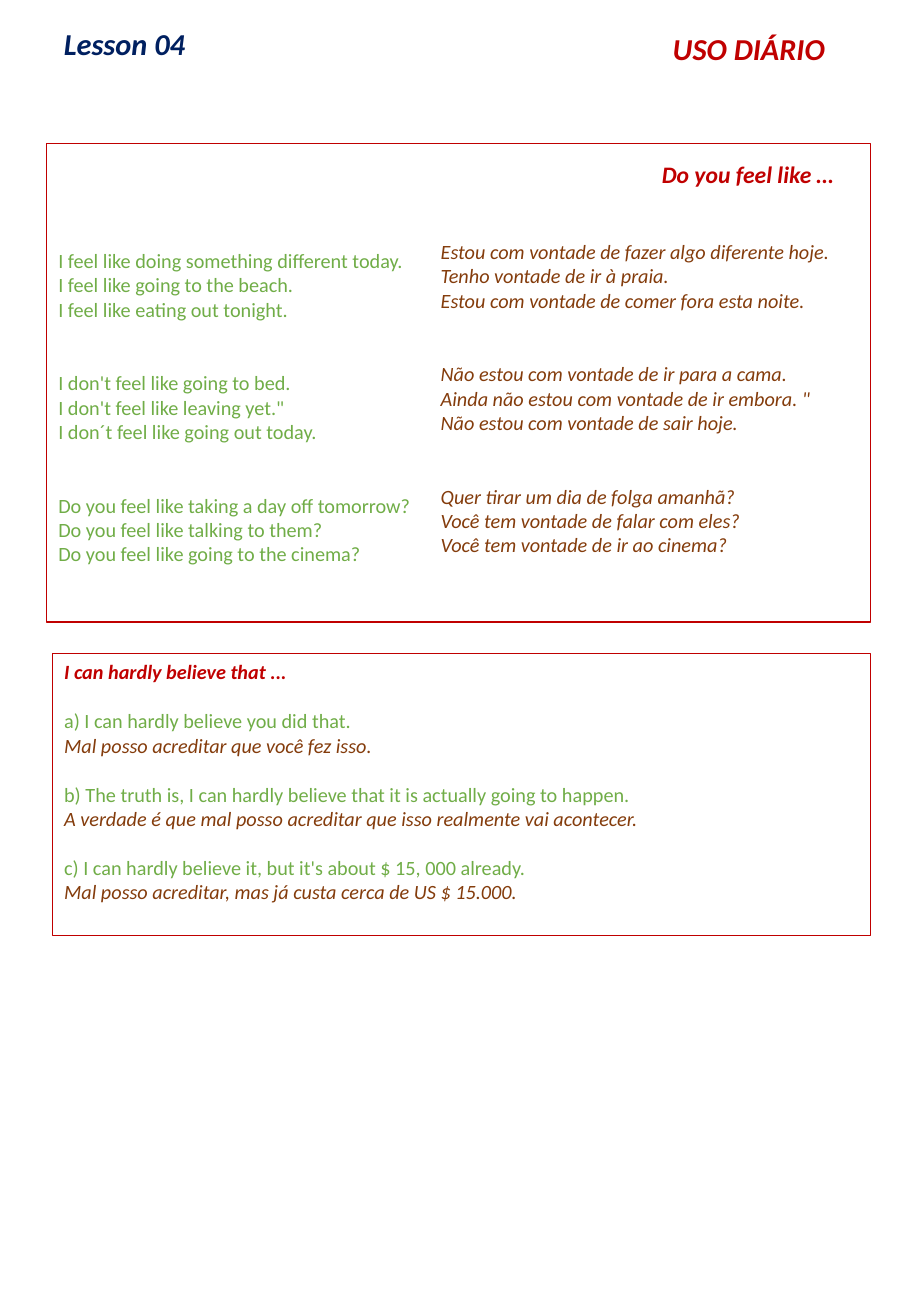
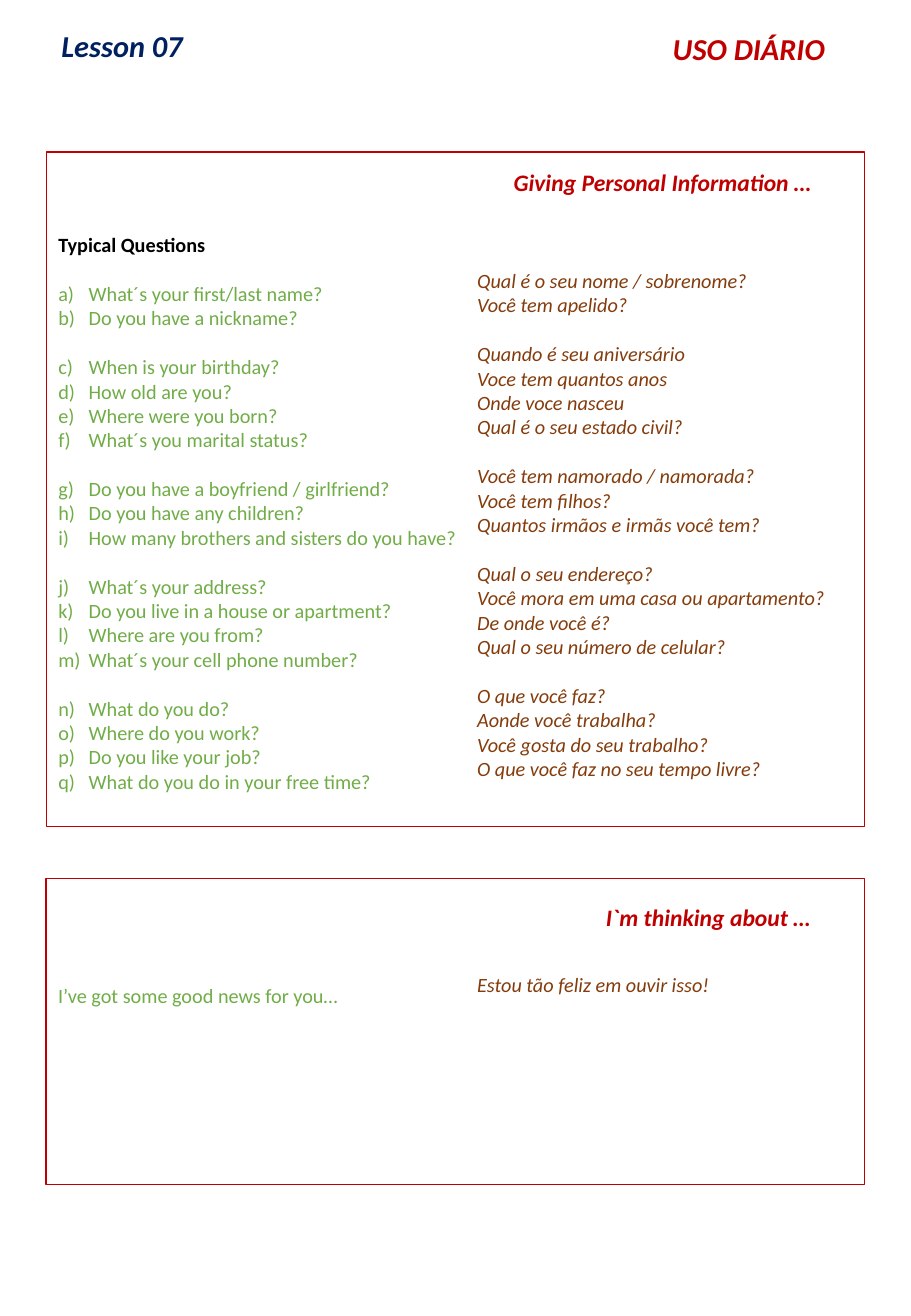
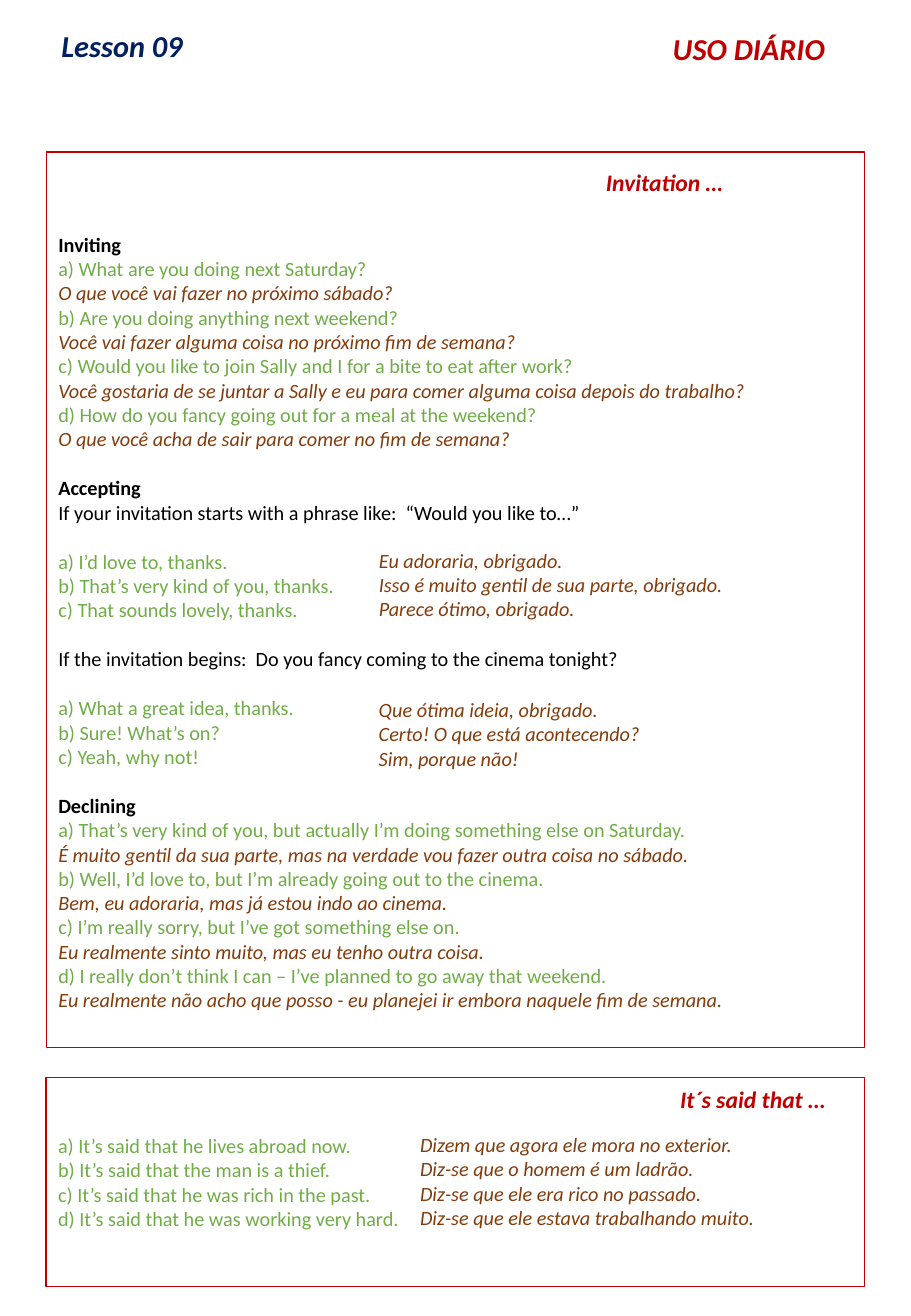
from dataclasses import dataclass
from typing import NamedTuple

from pptx import Presentation
from pptx.dml.color import RGBColor
from pptx.enum import shapes, text
from pptx.oxml.xmlchemy import OxmlElement
from pptx.util import Inches, Pt

NAVY = RGBColor(0x00, 0x20, 0x60)
RED = RGBColor(0xC0, 0x00, 0x00)
GREEN = RGBColor(0x70, 0xAD, 0x47)
BROWN = RGBColor(0x84, 0x3C, 0x0C)
BLACK = RGBColor(0x00, 0x00, 0x00)

FONT = "Calibri"
LINE_POINTS = 14.65
HANGING_INDENT = Inches(0.25)


class Style(NamedTuple):
    size: int
    color: RGBColor
    bold: bool = False
    italic: bool = False
    lettered: bool = False


LESSON = Style(18, NAVY, bold=True, italic=True)
SECTION = Style(18, RED, bold=True, italic=True)
TOPIC = Style(14, RED, bold=True, italic=True)
PHRASE = Style(12, RED, bold=True, italic=True)
SUBHEAD = Style(12, BLACK, bold=True)
NOTE = Style(12, BLACK)
ENGLISH = Style(12, GREEN)
QUESTION = Style(12, GREEN, lettered=True)
PORTUGUESE = Style(12, BROWN, italic=True)


class Line(NamedTuple):
    text: str
    style: Style


Block = list[Line]


class Box(NamedTuple):
    left: float
    top: float
    width: float
    height: float


@dataclass
class TextArea:
    box: Box
    blocks: list[Block]
    skipped_lines: int = 0
    gap_lines: int = 1


@dataclass
class Lesson:
    title: str
    title_box: Box
    main_panel: TextArea
    second_panel: TextArea
    texts: list[TextArea]


def lines(style: Style, *texts: str) -> Block:
    return [Line(content, style) for content in texts]


def translated(*texts: str) -> Block:
    return [Line(content, (ENGLISH, PORTUGUESE)[index % 2]) for index, content in enumerate(texts)]


def topic(content: str, left: float, top: float, width: float, height: float = 0.57) -> TextArea:
    return TextArea(Box(left, top, width, height), [lines(TOPIC, content)])


def place(shape, box: Box) -> None:
    shape.left, shape.top, shape.width, shape.height = map(Inches, box)


def format_paragraph(paragraph, style: Style, space_before: float) -> None:
    properties = paragraph._p.get_or_add_pPr()
    indent = HANGING_INDENT if style.lettered else 0
    properties.set("marL", str(indent))
    properties.set("indent", str(-indent))
    bullet = OxmlElement("a:buAutoNum" if style.lettered else "a:buNone")
    if style.lettered:
        bullet.set("type", "alphaLcParenR")
    properties.append(bullet)
    paragraph.alignment = text.PP_ALIGN.LEFT
    paragraph.space_before = Pt(space_before)
    for run in paragraph.runs:
        run.font.name = FONT
        run.font.size = Pt(style.size)
        run.font.bold = style.bold
        run.font.italic = style.italic
        run.font.color.rgb = style.color


def write(shape, area: TextArea) -> None:
    place(shape, area.box)
    frame = shape.text_frame
    frame.word_wrap = True
    frame.auto_size = text.MSO_AUTO_SIZE.NONE
    frame.vertical_anchor = text.MSO_ANCHOR.TOP
    frame.margin_top = Inches(0.05) + Pt(area.skipped_lines * LINE_POINTS)
    frame.text = "\n".join(line.text for block in area.blocks for line in block)
    paragraphs = iter(frame.paragraphs)
    for block_index, block in enumerate(area.blocks):
        for line_index, line in enumerate(block):
            opens_block = block_index > 0 and line_index == 0
            space = area.gap_lines * LINE_POINTS if opens_block else 0
            format_paragraph(next(paragraphs), line.style, space)


def outline(shape) -> None:
    shape.shadow.inherit = False
    shape.fill.background()
    shape.line.color.rgb = RED
    shape.line.width = Pt(0.75)


def draw_lesson(presentation, lesson: Lesson) -> None:
    slide = presentation.slides.add_slide(presentation.slide_layouts[1])

    title = slide.shapes.title
    write(title, TextArea(lesson.title_box, [lines(LESSON, lesson.title)]))
    title.text_frame.word_wrap = False
    title.text_frame.paragraphs[0].alignment = text.PP_ALIGN.CENTER

    body = slide.placeholders[1]
    write(body, lesson.main_panel)
    outline(body)

    panel = slide.shapes.add_shape(
        shapes.MSO_SHAPE.RECTANGLE, *map(Inches, lesson.second_panel.box)
    )
    write(panel, lesson.second_panel)
    outline(panel)

    for area in [SECTION_NAME, *lesson.texts]:
        write(slide.shapes.add_textbox(*map(Inches, area.box)), area)


SECTION_NAME = TextArea(Box(5.44, 0.2, 2, 0.4), [lines(SECTION, "USO DIÁRIO")])

LESSONS = [
    Lesson(
        "Lesson 04",
        Box(0.42, 0.16, 1.21, 0.4),
        TextArea(
            Box(0.38, 1.18, 6.79, 3.94),
            [
                lines(
                    ENGLISH,
                    "I feel like doing something different today.",
                    "I feel like going to the beach.",
                    "I feel like eating out tonight.",
                ),
                lines(
                    ENGLISH,
                    "I don't feel like going to bed.",
                    "I don't feel like leaving yet.\"",
                    "I don´t feel like going out today.",
                ),
                lines(
                    ENGLISH,
                    "Do you feel like taking a day off tomorrow?",
                    "Do you feel like talking to them?",
                    "Do you feel like going to the cinema?",
                ),
            ],
            skipped_lines=4,
            gap_lines=2,
        ),
        TextArea(
            Box(0.43, 5.38, 6.74, 2.32),
            [
                lines(PHRASE, "I can hardly believe that ..."),
                translated(
                    "a) I can hardly believe you did that.",
                    "Mal posso acreditar que você fez isso.",
                ),
                translated(
                    "b) The truth is, I can hardly believe that it is actually going to happen.",
                    "A verdade é que mal posso acreditar que isso realmente vai acontecer.",
                ),
                translated(
                    "c) I can hardly believe it, but it's about $ 15, 000 already.",
                    "Mal posso acreditar, mas já custa cerca de US $ 15.000.",
                ),
            ],
        ),
        [
            topic("Do you feel like …", 5.35, 1.27, 1.78),
            TextArea(
                Box(3.53, 1.92, 3.6, 2.73),
                [
                    lines(
                        PORTUGUESE,
                        "Estou com vontade de fazer algo diferente hoje.",
                        "Tenho vontade de ir à praia.",
                        "Estou com vontade de comer fora esta noite.",
                    ),
                    lines(
                        PORTUGUESE,
                        "Não estou com vontade de ir para a cama.",
                        "Ainda não estou com vontade de ir embora. \"",
                        "Não estou com vontade de sair hoje.",
                    ),
                    lines(
                        PORTUGUESE,
                        "Quer tirar um dia de folga amanhã?",
                        "Você tem vontade de falar com eles?",
                        "Você tem vontade de ir ao cinema?",
                    ),
                ],
                gap_lines=2,
            ),
        ],
    ),
    Lesson(
        "Lesson 07",
        Box(0.4, 0.17, 1.21, 0.4),
        TextArea(
            Box(0.38, 1.25, 6.74, 5.55),
            [
                lines(SUBHEAD, "Typical Questions"),
                lines(QUESTION, "What´s your first/last name?", "Do you have a nickname?"),
                lines(
                    QUESTION,
                    "When is your birthday?",
                    "How old are you?",
                    "Where were you born?",
                    "What´s you marital status?",
                ),
                lines(
                    QUESTION,
                    "Do you have a boyfriend / girlfriend?",
                    "Do you have any children?",
                    "How many brothers and sisters do you have?",
                ),
                lines(
                    QUESTION,
                    "What´s your address?",
                    "Do you live in a house or apartment?",
                    "Where are you from?",
                    "What´s your cell phone number?",
                ),
                lines(
                    QUESTION,
                    "What do you do?",
                    "Where do you work?",
                    "Do you like your job?",
                    "What do you do in your free time?",
                ),
            ],
            skipped_lines=3,
        ),
        TextArea(
            Box(0.38, 7.23, 6.74, 2.52),
            [lines(ENGLISH, "I’ve got some good news for you…")],
            skipped_lines=4,
        ),
        [
            topic("Giving Personal Information …", 4.13, 1.33, 2.76),
            topic("I`m thinking about …", 4.89, 7.38, 2.01),
            TextArea(
                Box(3.83, 7.95, 3, 0.5),
                [lines(PORTUGUESE, "Estou tão feliz em ouvir isso!")],
            ),
            TextArea(
                Box(3.83, 2.16, 3.11, 4.34),
                [
                    lines(PORTUGUESE, "Qual é o seu nome / sobrenome?", "Você tem apelido?"),
                    lines(
                        PORTUGUESE,
                        "Quando é seu aniversário",
                        "Voce tem quantos anos",
                        "Onde voce nasceu",
                        "Qual é o seu estado civil?",
                    ),
                    lines(
                        PORTUGUESE,
                        "Você tem namorado / namorada?",
                        "Você tem filhos?",
                        "Quantos irmãos e irmãs você tem?",
                    ),
                    lines(
                        PORTUGUESE,
                        "Qual o seu endereço?",
                        "Você mora em uma casa ou apartamento?",
                        "De onde você é?",
                        "Qual o seu número de celular?",
                    ),
                    lines(
                        PORTUGUESE,
                        "O que você faz?",
                        "Aonde você trabalha?",
                        "Você gosta do seu trabalho?",
                        "O que você faz no seu tempo livre?",
                    ),
                ],
            ),
        ],
    ),
    Lesson(
        "Lesson 09",
        Box(0.4, 0.17, 1.21, 0.4),
        TextArea(
            Box(0.38, 1.25, 6.74, 7.37),
            [
                lines(SUBHEAD, "Inviting")
                + translated(
                    "a) What are you doing next Saturday?",
                    "O que você vai fazer no próximo sábado?",
                    "b) Are you doing anything next weekend?",
                    "Você vai fazer alguma coisa no próximo fim de semana?",
                    "c) Would you like to join Sally and I for a bite to eat after work?",
                    "Você gostaria de se juntar a Sally e eu para comer alguma coisa depois do trabalho?",
                    "d) How do you fancy going out for a meal at the weekend?",
                    "O que você acha de sair para comer no fim de semana?",
                ),
                lines(SUBHEAD, "Accepting")
                + lines(NOTE, "If your invitation starts with a phrase like:  “Would you like to…”"),
                lines(
                    ENGLISH,
                    "a) I’d love to, thanks.",
                    "b) That’s very kind of you, thanks.",
                    "c) That sounds lovely, thanks.",
                ),
                lines(NOTE, "If the invitation begins:  Do you fancy coming to the cinema tonight?"),
                lines(
                    ENGLISH,
                    "a) What a great idea, thanks.",
                    "b) Sure! What’s on?",
                    "c) Yeah, why not!",
                ),
                lines(SUBHEAD, "Declining")
                + translated(
                    "a) That’s very kind of you, but actually I’m doing something else on Saturday.",
                    "É muito gentil da sua parte, mas na verdade vou fazer outra coisa no sábado.",
                    "b) Well, I’d love to, but I’m already going out to the cinema.",
                    "Bem, eu adoraria, mas já estou indo ao cinema.",
                    "c) I’m really sorry, but I’ve got something else on.",
                    "Eu realmente sinto muito, mas eu tenho outra coisa.",
                    "d) I really don’t think I can – I’ve planned to go away that weekend.",
                    "Eu realmente não acho que posso - eu planejei ir embora naquele fim de semana.",
                ),
            ],
            skipped_lines=3,
        ),
        TextArea(
            Box(0.38, 8.87, 6.74, 1.72),
            [
                lines(
                    ENGLISH,
                    "a) It’s said that he lives abroad now.",
                    "b) It’s said that the man is a thief.",
                    "c) It’s said that he was rich in the past.",
                    "d) It’s said that he was working very hard.",
                )
            ],
            skipped_lines=2,
        ),
        [
            topic("Invitation …", 4.89, 1.33, 2.01),
            topic("It´s said that …", 5.5, 8.88, 1.45, 0.34),
            TextArea(
                Box(3.02, 4.46, 3.59, 0.71),
                [
                    lines(
                        PORTUGUESE,
                        "Eu adoraria, obrigado.",
                        "Isso é muito gentil de sua parte, obrigado.",
                        "Parece ótimo, obrigado.",
                    )
                ],
            ),
            TextArea(
                Box(3.02, 5.69, 3, 0.71),
                [
                    lines(
                        PORTUGUESE,
                        "Que ótima ideia, obrigado.",
                        "Certo! O que está acontecendo?",
                        "Sim, porque não!",
                    )
                ],
            ),
            TextArea(
                Box(3.36, 9.27, 3, 0.91),
                [
                    lines(
                        PORTUGUESE,
                        "Dizem que agora ele mora no exterior.",
                        "Diz-se que o homem é um ladrão.",
                        "Diz-se que ele era rico no passado.",
                        "Diz-se que ele estava trabalhando muito.",
                    )
                ],
            ),
        ],
    ),
]


def main() -> None:
    presentation = Presentation()
    presentation.slide_width = Inches(7.5)
    presentation.slide_height = Inches(10.83)
    for lesson in LESSONS:
        draw_lesson(presentation, lesson)
    presentation.save("out.pptx")


if __name__ == "__main__":
    main()
